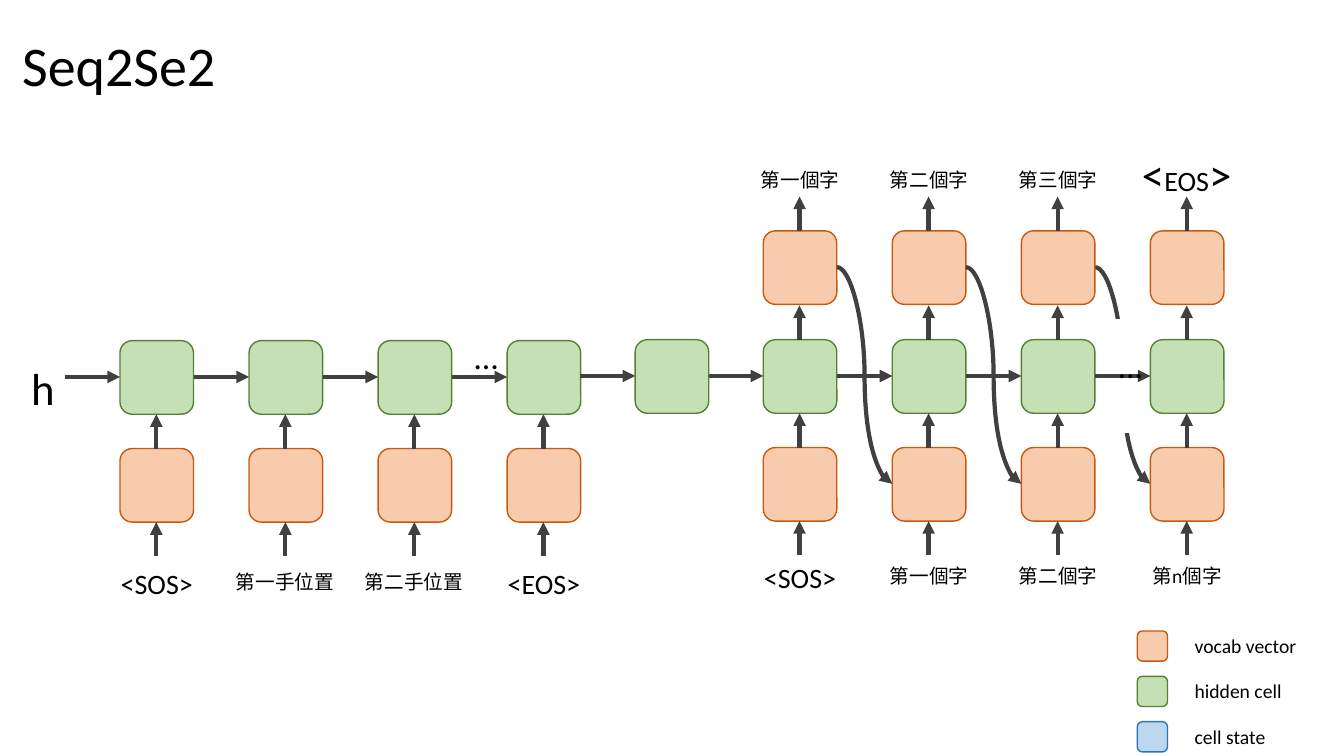
from lxml import etree
from pptx import Presentation
from pptx.dml.color import RGBColor
from pptx.enum.shapes import MSO_CONNECTOR, MSO_SHAPE
from pptx.enum.text import MSO_ANCHOR, MSO_AUTO_SIZE, PP_ALIGN
from pptx.oxml.ns import qn
from pptx.util import Pt

PX = 9144  # one hundredth of an inch
LEFT, CENTER = PP_ALIGN.LEFT, PP_ALIGN.CENTER
TOP, MIDDLE = MSO_ANCHOR.TOP, MSO_ANCHOR.MIDDLE
STRAIGHT, CURVE = MSO_CONNECTOR.STRAIGHT, MSO_CONNECTOR.CURVE
RECTANGLE, ROUNDED = MSO_SHAPE.RECTANGLE, MSO_SHAPE.ROUNDED_RECTANGLE
FIT_SHAPE = MSO_AUTO_SIZE.SHAPE_TO_FIT_TEXT

FONT = "Calibri"
BLACK = RGBColor(0x00, 0x00, 0x00)
WHITE = RGBColor(0xFF, 0xFF, 0xFF)
ARROW = RGBColor(0x40, 0x40, 0x40)
VOCAB = RGBColor(0xF8, 0xCB, 0xAD), RGBColor(0xC5, 0x5A, 0x11)
HIDDEN = RGBColor(0xC5, 0xE0, 0xB4), RGBColor(0x54, 0x82, 0x35)
STATE = RGBColor(0xBD, 0xD7, 0xEE), RGBColor(0x2E, 0x75, 0xB6)
BLANK = WHITE, WHITE

CELL = 73
GAP = 55
PITCH = CELL + GAP
RISE = 34
ROW = CELL + RISE


def emu(*lengths):
    return [length * PX for length in lengths]


def add_runs(para, runs):
    for words, size in runs:
        run = para.add_run()
        run.text = words
        run.font.size = Pt(size)
        run.font.name = FONT
        run.font.color.rgb = BLACK


def add_label(page, box, runs, align=CENTER, anchor=TOP, wrap=False):
    frame = page.shapes.add_textbox(*emu(*box)).text_frame
    frame.word_wrap = wrap
    frame.auto_size = FIT_SHAPE
    frame.vertical_anchor = anchor
    para = frame.paragraphs[0]
    para.alignment = align
    add_runs(para, runs)


def add_block(page, box, colors, kind=ROUNDED):
    shape = page.shapes.add_shape(kind, *emu(*box))
    shape.shadow.inherit = False
    shape.fill.solid()
    shape.fill.fore_color.rgb, shape.line.color.rgb = colors
    shape.line.width = Pt(1)


def add_arrow(page, start, end, kind=STRAIGHT):
    arrow = page.shapes.add_connector(kind, *emu(*start, *end))
    arrow.line.color.rgb = ARROW
    arrow.line.width = Pt(3)
    etree.SubElement(arrow.line._get_or_add_ln(), qn("a:tailEnd"), type="triangle")
    etree.SubElement(arrow._element.spPr, qn("a:effectLst"))


def add_hidden_cell(page, left, top):
    """Hidden cell with the arrow that enters it from the left."""
    add_block(page, (left, top, CELL, CELL), HIDDEN)
    middle = top + CELL // 2
    add_arrow(page, (left - GAP, middle), (left, middle))


def add_rise(page, left, bottom):
    """Upward arrow on the centre line of the column at left."""
    center = left + CELL // 2
    add_arrow(page, (center, bottom), (center, bottom - RISE))


def add_input_column(page, left, top):
    """Hidden cell fed from below by a vocab vector."""
    add_hidden_cell(page, left, top)
    add_block(page, (left, top + ROW, CELL, CELL), VOCAB)
    for bottom in (top + ROW, top + 2 * ROW):
        add_rise(page, left, bottom)


def add_column_label(page, left, top, words, size, width, height, **layout):
    box = (left + (CELL - width) // 2, top, width, height)
    add_label(page, box, [(words, size)], **layout)


def add_encoder(page, left, top):
    add_label(page, (left - 98, top + 15, 27, 40), [("h", 32)], LEFT, wrap=True)
    label_top = top + 2 * ROW
    for index, words in enumerate(("<SOS>", "第一手位置", "第二手位置", "<EOS>")):
        column = left + index * PITCH
        add_input_column(page, column, top)
        if words.startswith("<"):
            add_column_label(page, column, label_top + 5, words, 20, 93, 44, anchor=MIDDLE)
        else:
            add_column_label(page, column, label_top + 8, words, 14, 118, 34, align=LEFT)
    add_label(page, (left + 342, top - 10, 27, 31), [("…", 24)], wrap=True)


def add_feedback(page, left, top):
    """Curve from an output vector to the next input vector."""
    right, middle = left + CELL, top + CELL // 2
    add_arrow(page, (right, middle), (right + GAP, middle + 2 * ROW + 1), CURVE)


def add_decoder(page, left, top):
    """Output row starts at top; hidden and input rows follow below."""
    hidden_top = top + ROW + 1
    label_top = hidden_top + 2 * ROW
    columns = [left + index * PITCH for index in range(4)]
    add_feedback(page, columns[2], top)
    add_block(page, (left + 320, top + 88, 68, 112), BLANK, RECTANGLE)

    for column in columns:
        add_input_column(page, column, hidden_top)
        add_rise(page, column, hidden_top)
        add_block(page, (column, top, CELL, CELL), VOCAB)
        add_rise(page, column, top)
    for column in columns[:2]:
        add_feedback(page, column, top)

    add_column_label(page, left, label_top, "<SOS>", 20, 93, 44)
    for column, words in zip(columns[1:], ("第一個字", "第二個字")):
        add_column_label(page, column, label_top + 3, words, 14, 99, 34, anchor=MIDDLE)
    add_column_label(page, columns[3], label_top + 3, "第n個字", 14, 89, 34,
                     anchor=MIDDLE, wrap=True)
    for column, words in zip(columns, ("第一個字", "第二個字", "第三個字")):
        add_column_label(page, column, top - 68, words, 14, 99, 34, anchor=MIDDLE)
    add_label(page, (columns[3] - 19, top - 88, 110, 64),
              [("<", 32), ("EOS", 20), (">", 32)])
    add_label(page, (left + 343, hidden_top, 27, 31), [("…", 24)], wrap=True)


def add_legend(page, left, top):
    entries = (("vocab vector", VOCAB, 122), ("hidden cell", HIDDEN, 107),
               ("cell state", STATE, 91))
    for index, (words, colors, width) in enumerate(entries):
        row = top + index * 45
        add_block(page, (left, row, 30, 30), colors)
        add_label(page, (left + 47, row - 2, width, 34), [(words, 14)], LEFT)


def add_title(page, box):
    title = page.shapes.title
    title.left, title.top, title.width, title.height = emu(*box)
    frame = title.text_frame
    frame.word_wrap = False
    frame.auto_size = FIT_SHAPE
    frame.vertical_anchor = TOP
    frame.margin_left = 22 * PX
    para = frame.paragraphs[0]
    para.alignment = LEFT
    add_runs(para, [("Seq2Se2", 40)])


def main():
    deck = Presentation()
    deck.slide_width, deck.slide_height = emu(1333, 750)
    page = deck.slides.add_slide(deck.slide_layouts[5])
    add_title(page, (0, 25, 243, 77))
    add_decoder(page, 757, 229)
    add_encoder(page, 119, 338)
    add_hidden_cell(page, 630, 337)
    add_legend(page, 1128, 626)
    deck.save("out.pptx")


if __name__ == "__main__":
    main()
